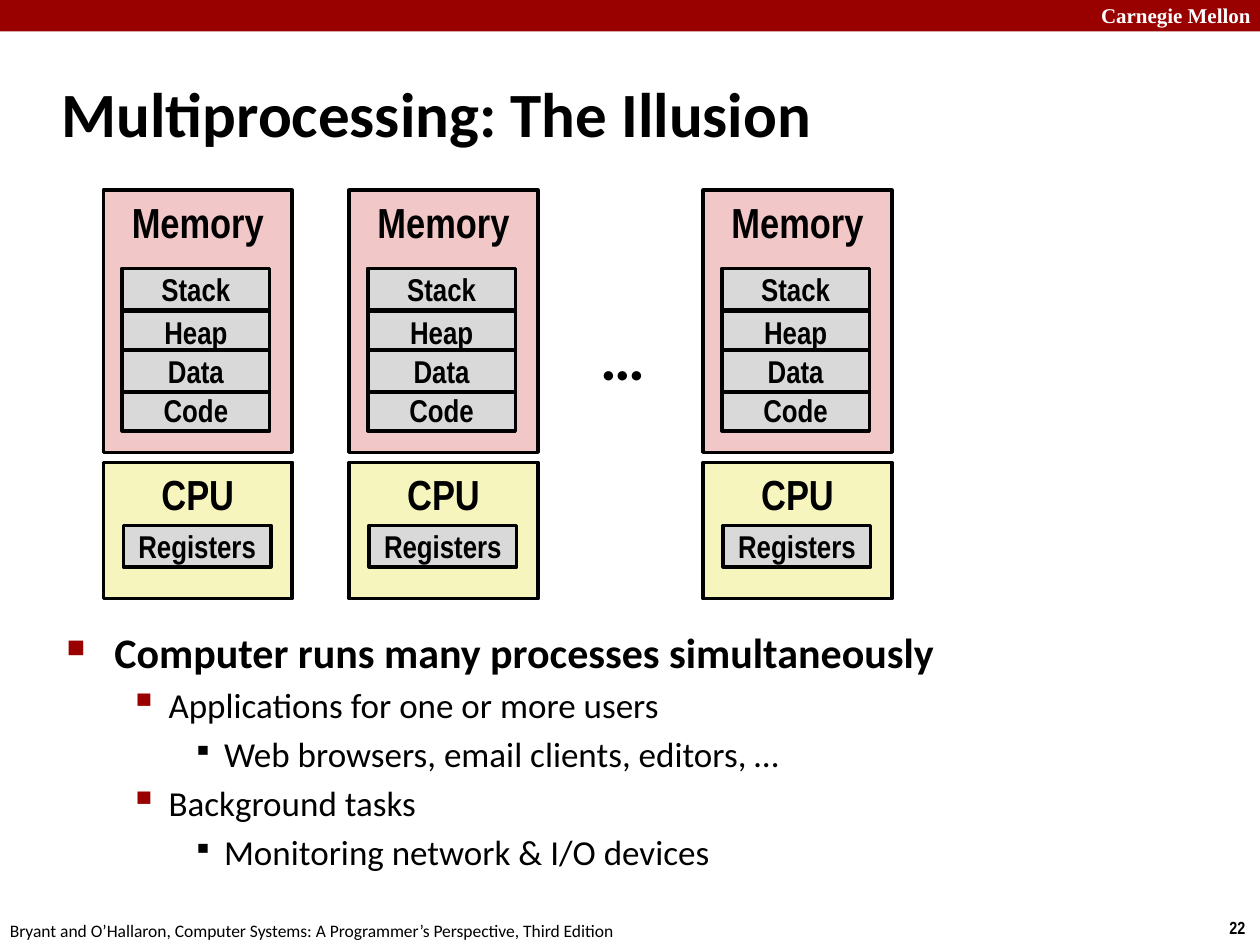
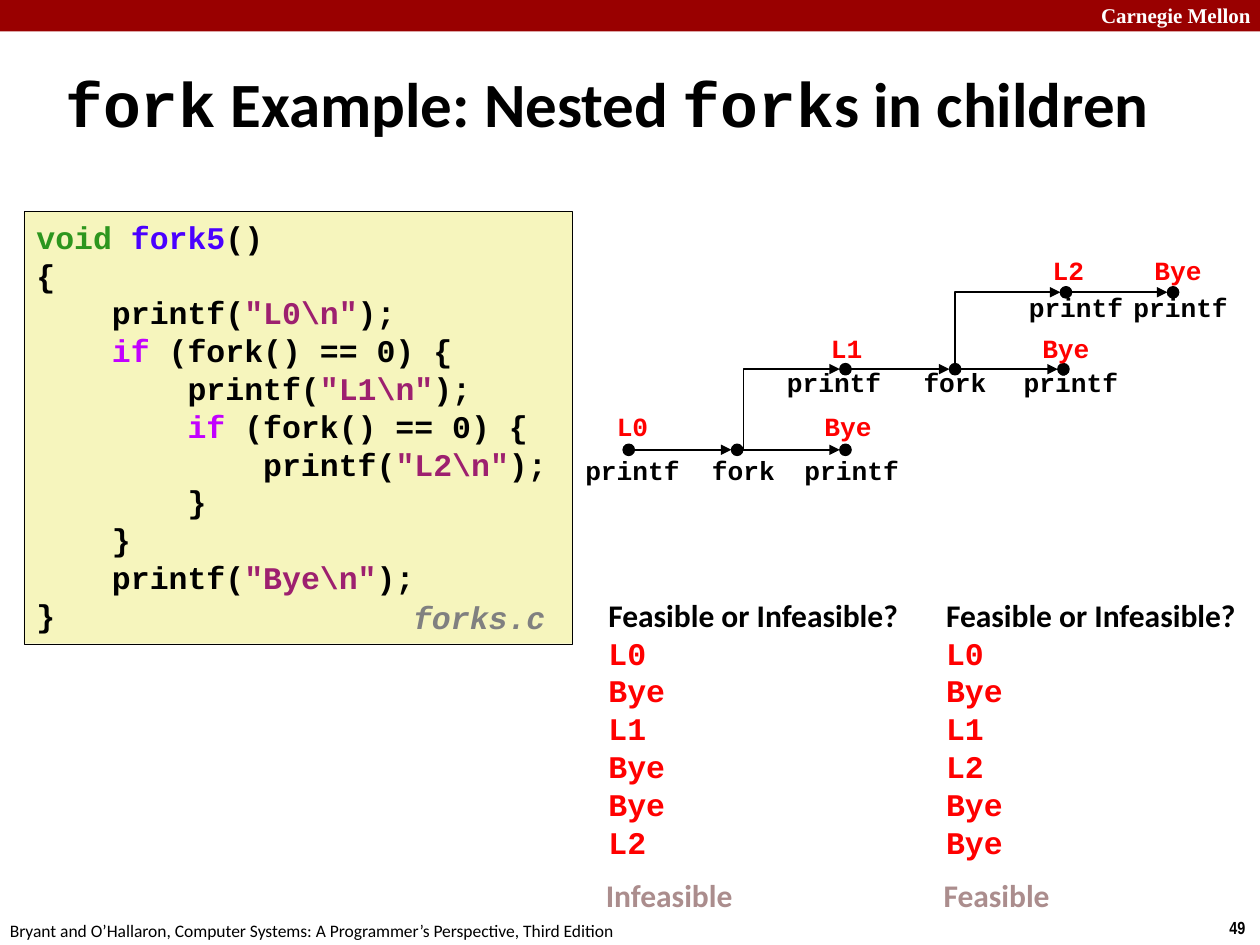
import dataclasses
from typing import Any, NamedTuple

import pptx
import pptx.dml.color
import pptx.enum.shapes
import pptx.enum.text
import pptx.oxml.ns
import pptx.util
from lxml import etree

Inches = pptx.util.Inches
Pt = pptx.util.Pt
qn = pptx.oxml.ns.qn
SHAPE = pptx.enum.shapes.MSO_SHAPE
CONNECTOR = pptx.enum.shapes.MSO_CONNECTOR
ANCHOR = pptx.enum.text.MSO_ANCHOR
ALIGN = pptx.enum.text.PP_ALIGN
FIT = pptx.enum.text.MSO_AUTO_SIZE

CRIMSON, BLACK, WHITE, RED = "990000", "000000", "FFFFFF", "FF0000"
CREAM, PINK, GRAY = "F6F5BD", "F1C7C7", "D9D9D9"
TYPE, FUNCTION, KEYWORD, STRING = "2D961E", "4A00FF", "C200FF", "9D206F"


@dataclasses.dataclass(frozen=True)
class Style:
    font: str
    size: float
    colour: str = BLACK
    bold: bool = True
    italic: bool = False


class Box(NamedTuple):
    left: float
    top: float
    width: float
    height: float


class Run(NamedTuple):
    text: str
    style: Style


class Bullet(NamedTuple):
    char: str
    percent: int
    margin: float
    hang: float
    colour: str
    style: Style


class Node(NamedTuple):
    """A point in the process graph, with the centres of its labels."""
    x: float
    call: str
    call_x: float
    output: str = ""
    output_x: float = 0


class Process(NamedTuple):
    """A row of the process graph."""
    y: float
    call_top: float
    output_top: float
    nodes: list[Node]


Paragraph = list[Run]

TITLE = Style("Calibri", 36)
TITLE_CODE = Style("Courier New", 36)
BRAND = Style("Times New Roman", 12, WHITE)
PAGE = Style("Arial Narrow", 10)
CREDIT = Style("Calibri", 10, bold=False)
BLOCK = Style("Arial Narrow", 24)
CELL = Style("Arial Narrow", 18)
CODE = Style("Courier New", 18)
CALL = Style("Courier New", 15)
OUTPUT = dataclasses.replace(CALL, colour=RED)
QUESTION = Style("Calibri", 18)
DETAIL = Style("Calibri", 20, bold=False)

BULLETS = [
    Bullet("■", 60, 0.38, 0.38, CRIMSON, Style("Calibri", 24)),
    Bullet("▪", 110, 0.81, 0.31, CRIMSON, DETAIL),
    Bullet("▪", 80, 1.25, 0.25, BLACK, DETAIL),
]
OUTLINE = [
    (0, "Computer runs many processes simultaneously"),
    (1, "Applications for one or more users"),
    (2, "Web browsers, email clients, editors, …"),
    (1, "Background tasks"),
    (2, "Monitoring network & I/O devices"),
]

PROCESS_LEFTS = [0.82, 2.77, 5.58]
SEGMENT_TOPS = {"Stack": 2.13, "Heap": 2.47, "Code": 3.09, "Data": 2.78}

SOURCE_CODE = [
    [("void ", TYPE), ("fork5", FUNCTION), ("()", BLACK)],
    [("{", BLACK)],
    [("    printf(", BLACK), ('"L0\\n"', STRING), (");", BLACK)],
    [("    ", BLACK), ("if", KEYWORD), (" (fork() == 0) {", BLACK)],
    [("        printf(", BLACK), ('"L1\\n"', STRING), (");", BLACK)],
    [("        ", BLACK), ("if", KEYWORD), (" (fork() == 0) {", BLACK)],
    [("            printf(", BLACK), ('"L2\\n"', STRING), (");", BLACK)],
    [("        }", BLACK)],
    [("    }", BLACK)],
    [("    printf(", BLACK), ('"Bye\\n"', STRING), (");", BLACK)],
    [("}", BLACK)],
]

PROCESSES = [
    Process(3.57, 3.56, 3.21, [Node(4.99, "printf", 5.02, "L0", 5.02),
                               Node(5.85, "fork", 5.9),
                               Node(6.71, "printf", 6.76, "Bye", 6.73)]),
    Process(2.93, 2.86, 2.59, [Node(6.71, "printf", 6.62, "L1", 6.72),
                               Node(7.58, "fork", 7.58),
                               Node(8.44, "printf", 8.5, "Bye", 8.46)]),
    Process(2.32, 2.26, 1.97, [Node(8.46, "printf", 8.54, "L2", 8.48),
                               Node(9.31, "printf", 9.37, "Bye", 9.35)]),
]
FORK_XS = [5.9, 7.58]
DOT = 0.09

ORDERINGS = [
    (4.73, ["L0", "Bye", "L1", "Bye", "Bye", "L2"], "Infeasible"),
    (7.41, ["L0", "Bye", "L1", "L2", "Bye", "Bye"], "Feasible"),
]


def rgb(colour: str) -> pptx.dml.color.RGBColor:
    return pptx.dml.color.RGBColor.from_string(colour)


def set_all(obj: Any, values: dict[str, Any]) -> None:
    for name, value in values.items():
        setattr(obj, name, value)


def emu(box: Box) -> list[int]:
    return [Inches(v) for v in box]


def add_run(p: Any, run: Run) -> None:
    r = p.add_run()
    r.text = run.text
    st = run.style
    set_all(r.font, {"name": st.font, "size": Pt(st.size),
                     "bold": st.bold, "italic": st.italic})
    r.font.color.rgb = rgb(st.colour)


def fill_text(sp: Any, paragraphs: list[Paragraph], align: Any = ALIGN.LEFT,
              anchor: Any = ANCHOR.TOP, wrap: bool = False, grow: bool = False) -> None:
    tf = sp.text_frame
    set_all(tf, {"word_wrap": wrap, "vertical_anchor": anchor,
                 "auto_size": FIT.SHAPE_TO_FIT_TEXT if grow else FIT.NONE})
    for i, runs in enumerate(paragraphs):
        p = tf.add_paragraph() if i else tf.paragraphs[0]
        p.alignment = align
        for run in runs:
            add_run(p, run)


def add_text(slide: Any, box: Box, paragraphs: list[Paragraph], **layout: Any) -> Any:
    sp = slide.shapes.add_textbox(*emu(box))
    fill_text(sp, paragraphs, **layout)
    return sp


def add_label(slide: Any, box: Box, text: str, style: Style) -> Any:
    return add_text(slide, box, [[Run(text, style)]], grow=True)


def add_shape(slide: Any, kind: Any, box: Box, fill: str, line: float = 0) -> Any:
    sp = slide.shapes.add_shape(kind, *emu(box))
    sp.shadow.inherit = False
    sp.fill.solid()
    sp.fill.fore_color.rgb = rgb(fill)
    if line:
        sp.line.color.rgb = rgb(BLACK)
        sp.line.width = Pt(line)
    else:
        sp.line.fill.background()
    return sp


def add_block(slide: Any, box: Box, text: str, fill: str, style: Style, anchor: Any) -> None:
    sp = add_shape(slide, SHAPE.RECTANGLE, box, fill, 2)
    fill_text(sp, [[Run(text, style)]], align=ALIGN.CENTER, anchor=anchor)


def add_arrow(slide: Any, kind: Any, x1: float, y1: float, x2: float, y2: float) -> Any:
    c = slide.shapes.add_connector(kind, *[Inches(v) for v in (x1, y1, x2, y2)])
    c.line.color.rgb = rgb(BLACK)
    c.line.width = Pt(1)
    sp_pr = c._element.spPr
    etree.SubElement(sp_pr.find(qn("a:ln")), qn("a:tailEnd"), type="triangle")
    etree.SubElement(sp_pr, qn("a:effectLst"))
    return c


def add_fork_arrow(slide: Any, x1: float, y1: float, x2: float, y2: float) -> None:
    """Go up from the parent, then right to the child: a quarter-turned single elbow."""
    cx, cy = (x1 + x2) / 2, (y1 + y2) / 2
    half_rise, half_run = (y1 - y2) / 2, (x2 - x1) / 2
    c = add_arrow(slide, CONNECTOR.ELBOW, cx + half_rise, cy + half_run,
                  cx - half_rise, cy - half_run)
    sp_pr = c._element.spPr
    sp_pr.find(qn("a:xfrm")).set("rot", "5400000")
    sp_pr.find(qn("a:prstGeom")).set("prst", "bentConnector2")


def set_bullet(p: Any, bullet: Bullet) -> None:
    p_pr = p._p.get_or_add_pPr()
    p_pr.set("marL", str(Inches(bullet.margin)))
    p_pr.set("indent", str(-Inches(bullet.hang)))
    colour = etree.SubElement(p_pr, qn("a:buClr"))
    etree.SubElement(colour, qn("a:srgbClr"), val=bullet.colour)
    etree.SubElement(p_pr, qn("a:buSzPct"), val=str(bullet.percent * 1000))
    etree.SubElement(p_pr, qn("a:buChar"), char=bullet.char)


def add_base_slide(prs: Any, page: str, title_box: Box, title: Paragraph) -> Any:
    slide = prs.slides.add_slide(prs.slide_layouts[6])
    add_shape(slide, SHAPE.RECTANGLE, Box(0, 0, 10, 0.25), CRIMSON)
    add_label(slide, Box(8.64, -0.03, 1.43, 0.3), "Carnegie Mellon", BRAND)
    add_label(slide, Box(9.66, 7.23, 0.34, 0.27), page, PAGE)
    add_label(slide, Box(-0.02, 7.25, 5.08, 0.27),
              "Bryant and O’Hallaron, Computer Systems: "
              "A Programmer’s Perspective, Third Edition", CREDIT)
    add_text(slide, title_box, [title], anchor=ANCHOR.MIDDLE, wrap=True)
    return slide


def add_machine(slide: Any, left: float) -> None:
    """Draw one process's view of memory and CPU."""
    add_block(slide, Box(left, 3.67, 1.5, 1.08), "CPU", CREAM, BLOCK, ANCHOR.TOP)
    add_block(slide, Box(left + 0.16, 4.17, 1.17, 0.33), "Registers", GRAY, CELL, ANCHOR.MIDDLE)
    add_block(slide, Box(left, 1.51, 1.5, 2.08), "Memory", PINK, BLOCK, ANCHOR.TOP)
    for segment, top in SEGMENT_TOPS.items():
        add_block(slide, Box(left + 0.15, top, 1.17, 0.33), segment, GRAY, CELL, ANCHOR.MIDDLE)


def build_multiprocessing(prs: Any) -> None:
    slide = add_base_slide(prs, "22", Box(0.39, 0.48, 8.3, 0.83),
                           [Run("Multiprocessing: The Illusion", TITLE)])
    sp = add_text(slide, Box(0.43, 4.92, 8.64, 2.16),
                  [[Run(text, BULLETS[level].style)] for level, text in OUTLINE], wrap=True)
    for i, (p, (level, _)) in enumerate(zip(sp.text_frame.paragraphs, OUTLINE)):
        p.level = level
        set_bullet(p, BULLETS[level])
        if i:
            p.space_before = Pt(0.2 * BULLETS[level].style.size)
    for left in PROCESS_LEFTS:
        add_machine(slide, left)
    add_label(slide, Box(4.67, 2.47, 0.56, 0.71), "…", TITLE)


def add_graph_label(slide: Any, x: float, top: float, text: str, style: Style) -> None:
    add_text(slide, Box(x - 0.55, top, 1.1, 0.35), [[Run(text, style)]],
             align=ALIGN.CENTER, wrap=True)


def add_process_graph(slide: Any) -> None:
    for parent, child, x in zip(PROCESSES, PROCESSES[1:], FORK_XS):
        add_fork_arrow(slide, x, parent.y, child.nodes[0].x - DOT / 2, child.y)
    for process in PROCESSES:
        for a, b in zip(process.nodes, process.nodes[1:]):
            add_arrow(slide, CONNECTOR.STRAIGHT, a.x + DOT / 2, process.y,
                      b.x - DOT / 2, process.y)
        for node in process.nodes:
            add_shape(slide, SHAPE.OVAL, Box(node.x - DOT / 2, process.y - DOT / 2, DOT, DOT),
                      BLACK, 0.75)
            add_graph_label(slide, node.call_x, process.call_top, node.call, CALL)
            if node.output:
                add_graph_label(slide, node.output_x, process.output_top, node.output, OUTPUT)


def build_nested_forks(prs: Any) -> None:
    slide = add_base_slide(prs, "49", Box(0.42, 0.5, 9.22, 0.63), [
        Run("fork", TITLE_CODE), Run(" Example: Nested ", TITLE),
        Run("fork", TITLE_CODE), Run("s in children", TITLE)])
    sp = add_shape(slide, SHAPE.RECTANGLE, Box(0.19, 1.68, 4.35, 3.43), CREAM, 0.25)
    fill_text(sp, [[Run(text, dataclasses.replace(CODE, colour=colour)) for text, colour in line]
                   for line in SOURCE_CODE], grow=True)
    file_name = add_label(slide, Box(3.18, 4.72, 1.32, 0.39), "forks.c",
                          dataclasses.replace(CODE, colour="808080", italic=True))
    file_name.text_frame.paragraphs[0].line_spacing = 0.94
    add_process_graph(slide)
    printed = dataclasses.replace(CODE, colour=RED)
    verdict_style = dataclasses.replace(QUESTION, colour="AB8D8D")
    for left, outputs, verdict in ORDERINGS:
        add_text(slide, Box(left, 4.68, 2.55, 2.22),
                 [[Run("Feasible or Infeasible?", QUESTION)]]
                 + [[Run(output, printed)] for output in outputs], grow=True)
        add_label(slide, Box(left - 0.02, 6.9, 1.21 if verdict == "Infeasible" else 1.05, 0.4),
                  verdict, verdict_style)


def main() -> None:
    prs = pptx.Presentation()
    set_all(prs, {"slide_width": Inches(10), "slide_height": Inches(7.5)})
    build_multiprocessing(prs)
    build_nested_forks(prs)
    prs.save("out.pptx")


if __name__ == "__main__":
    main()
